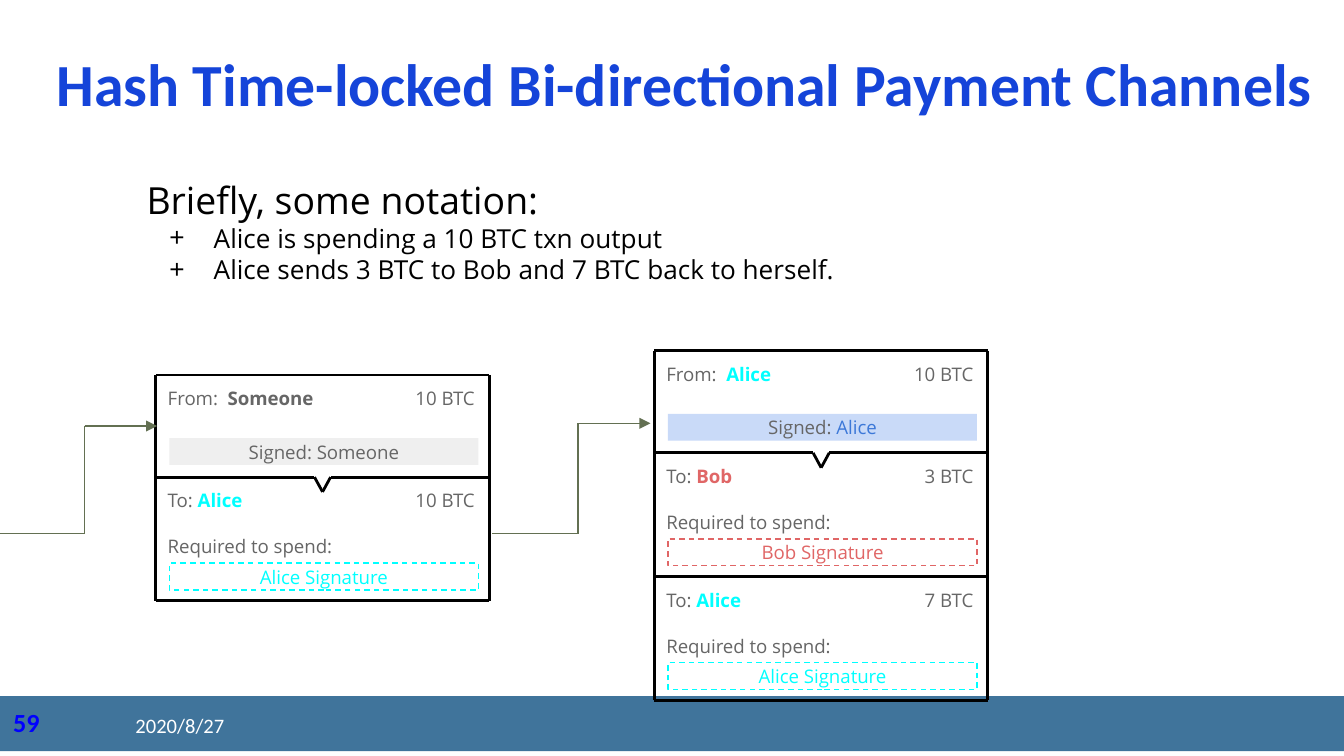
"""Build a slide showing payment channel notation as two linked transactions."""
import dataclasses
import typing

import lxml.etree
import pptx
import pptx.dml.color
import pptx.enum.dml
import pptx.enum.shapes
import pptx.enum.text
import pptx.oxml.ns
import pptx.util

Inches = pptx.util.Inches
Pt = pptx.util.Pt
Align = pptx.enum.text.PP_ALIGN
Anchor = pptx.enum.text.MSO_ANCHOR
qn = pptx.oxml.ns.qn

BLACK, WHITE, GRAY, CYAN, RED, GREEN = "000000", "FFFFFF", "666666", "00FFFF", "E06666", "637052"
SMALL = {"name": "Open Sans", "size": Pt(10)}
PADDED = {"margin_left": Inches(0.1), "margin_right": Inches(0.1),
          "margin_top": Inches(0.1), "margin_bottom": Inches(0.1),
          "word_wrap": True, "auto_size": pptx.enum.text.MSO_AUTO_SIZE.NONE,
          "vertical_anchor": Anchor.TOP}
CARD_WIDTH, INPUT_HEIGHT, OUTPUT_HEIGHT = 2.48, 0.76, 0.92


class Run(typing.NamedTuple):
    text: str
    color: str = GRAY
    bold: bool = False


class Output(typing.NamedTuple):
    payee: str
    amount: str
    color: str


@dataclasses.dataclass
class Transaction:
    x: float
    y: float
    source: Run
    signer: Run
    signed_fill: str
    outputs: list[Output]


class Link(typing.NamedTuple):
    start: float
    bend: float
    end: float
    y: float


def rgb(value: str) -> pptx.dml.color.RGBColor:
    return pptx.dml.color.RGBColor.from_string(value)


def apply(obj: typing.Any, values: dict) -> None:
    for name, value in values.items():
        setattr(obj, name, value)


def box(shape, left: float, top: float, width: float, height: float) -> None:
    apply(shape, {"left": Inches(left), "top": Inches(top),
                  "width": Inches(width), "height": Inches(height)})


def write(p, runs: list[Run], font: dict = SMALL, **layout) -> None:
    apply(p, layout)
    for run in runs:
        r = p.add_run()
        r.text = run.text
        apply(r.font, {**font, "bold": run.bold})
        r.font.color.rgb = rgb(run.color)


def label(s, at: tuple, runs: list[Run], font: dict = SMALL,
          frame: dict = PADDED, align=Align.LEFT) -> None:
    tf = s.shapes.add_textbox(*map(Inches, at)).text_frame
    apply(tf, frame)
    write(tf.paragraphs[0], runs, font, alignment=align)


def bar(s, at: tuple, fill: str = "", dash: str = "", runs: typing.Sequence[Run] = ()) -> None:
    sp = s.shapes.add_shape(pptx.enum.shapes.MSO_SHAPE.RECTANGLE, *map(Inches, at))
    sp.shadow.inherit = False
    if fill:
        sp.fill.solid()
        sp.fill.fore_color.rgb = rgb(fill)
    else:
        sp.fill.background()
    if dash:
        sp.line.color.rgb = rgb(dash)
        apply(sp.line, {"width": Pt(0.75), "dash_style": pptx.enum.dml.MSO_LINE.DASH})
    else:
        sp.line.fill.background()
    apply(sp.text_frame, {**PADDED, "vertical_anchor": Anchor.MIDDLE})
    write(sp.text_frame.paragraphs[0], list(runs), alignment=Align.CENTER)


def polyline(s, points: list[tuple], color: str = BLACK, width: float = 1.5,
             arrow: bool = False) -> None:
    for start, end in zip(points, points[1:]):
        line = s.shapes.add_connector(pptx.enum.shapes.MSO_CONNECTOR.STRAIGHT,
                                      *map(Inches, (*start, *end)))
        line.line.color.rgb = rgb(color)
        line.line.width = Pt(width)
        lxml.etree.SubElement(line._element.spPr, qn("a:effectLst"))
    if arrow:
        lxml.etree.SubElement(line.line._get_or_add_ln(), qn("a:tailEnd"), type="triangle")


def heading(s, x: float, y: float, runs: list[Run], amount: str) -> None:
    label(s, (x - 0.01, y - 0.01, 1.4, 0.39), runs)
    label(s, (x + 1.32, y - 0.01, 1.15, 0.39), [Run(amount)], align=Align.RIGHT)


def draw_transaction(s, tx: Transaction) -> None:
    x, right, y = tx.x, tx.x + CARD_WIDTH, tx.y + INPUT_HEIGHT
    heading(s, x, tx.y, [Run("From:  "), tx.source], "10 BTC")
    bar(s, (x + 0.1, tx.y + 0.47, 2.3, 0.2), tx.signed_fill, runs=[Run("Signed: "), tx.signer])
    polyline(s, [(x, y), (x, tx.y), (right, tx.y), (right, y), (x + 1.3, y),
                 (x + 1.24, y + 0.11), (x + 1.18, y), (x, y)])
    for out in tx.outputs:
        bottom = y + OUTPUT_HEIGHT
        heading(s, x, y, [Run("To: "), Run(out.payee, out.color, True)], out.amount)
        label(s, (x - 0.01, y + 0.33, 1.9, 0.38), [Run("Required to spend:")])
        bar(s, (x + 0.1, y + 0.64, 2.3, 0.2), dash=out.color,
            runs=[Run(f"{out.payee} Signature", out.color)])
        polyline(s, [(x, y), (x, bottom), (right, bottom), (right, y)][::-1])
        y = bottom


def draw_link(s, link: Link) -> None:
    polyline(s, [(link.start, 3.97), (link.bend, 3.97), (link.bend, link.y),
                 (link.end, link.y)], GREEN, 0.75, arrow=True)


def set_bullet(p, char: str = "") -> None:
    pPr = p._p.get_or_add_pPr()
    pPr.set("marL", str(Inches(0.5) if char else 0))
    pPr.set("indent", str(Inches(-0.33) if char else 0))
    if char:
        lxml.etree.SubElement(pPr, qn("a:buChar"), char=char)
    else:
        lxml.etree.SubElement(pPr, qn("a:buNone"))


def draw_text(s) -> None:
    title, body = s.shapes.title, s.placeholders[1]
    box(title, 0.32, 0.31, 9.68, 0.65)
    apply(title.text_frame, PADDED)
    write(title.text_frame.paragraphs[0],
          [Run("Hash Time-locked Bi-directional Payment Channels", "1544D9", True)],
          {"name": "Calibri", "size": Pt(32)}, alignment=Align.LEFT, line_spacing=0.9)
    box(body, 0.99, 1.22, 5.99, 0.95)
    tf = body.text_frame
    apply(tf, PADDED)
    lines = [("Briefly, some notation:", 20, ""),
             ("Alice is spending a 10 BTC txn output", 14, "+"),
             ("Alice sends 3 BTC to Bob and 7 BTC back to herself.", 14, "+")]
    for i, (text, size, char) in enumerate(lines):
        p = tf.add_paragraph() if i else tf.paragraphs[0]
        set_bullet(p, char)
        write(p, [Run(text, BLACK)], {"name": "Open Sans", "size": Pt(size)}, space_before=Pt(0))


def main() -> None:
    prs = pptx.Presentation()
    apply(prs, {"slide_width": Inches(10), "slide_height": Inches(10) * 9 // 16})
    s = prs.slides.add_slide(prs.slide_layouts[1])
    bar(s, (0, 5.18, 10, 0.41), "40749B")
    label(s, (0, 5.21, 0.69, 0.4), [Run("59", "0000FF", True)],
          {"name": "Calibri", "size": Pt(14)}, {"word_wrap": True})
    label(s, (0.91, 5.25, 2.03, 0.3), [Run("2020/8/27", WHITE)],
          {"name": "Calibri", "size": Pt(11)},
          {"word_wrap": True, "vertical_anchor": Anchor.MIDDLE})
    draw_text(s)
    for tx in (
        Transaction(1.16, 2.79, Run("Someone", GRAY, True), Run("Someone"), "EFEFEF",
                    [Output("Alice", "10 BTC", CYAN)]),
        Transaction(4.87, 2.61, Run("Alice", CYAN, True), Run("Alice", "3C78D8"), "C9DAF8",
                    [Output("Bob", "3 BTC", RED), Output("Alice", "7 BTC", CYAN)]),
    ):
        draw_transaction(s, tx)
    for link in (Link(0, 0.63, 1.17, 3.17), Link(3.66, 4.3, 4.84, 3.15)):
        draw_link(s, link)
    prs.save("out.pptx")


if __name__ == "__main__":
    main()
